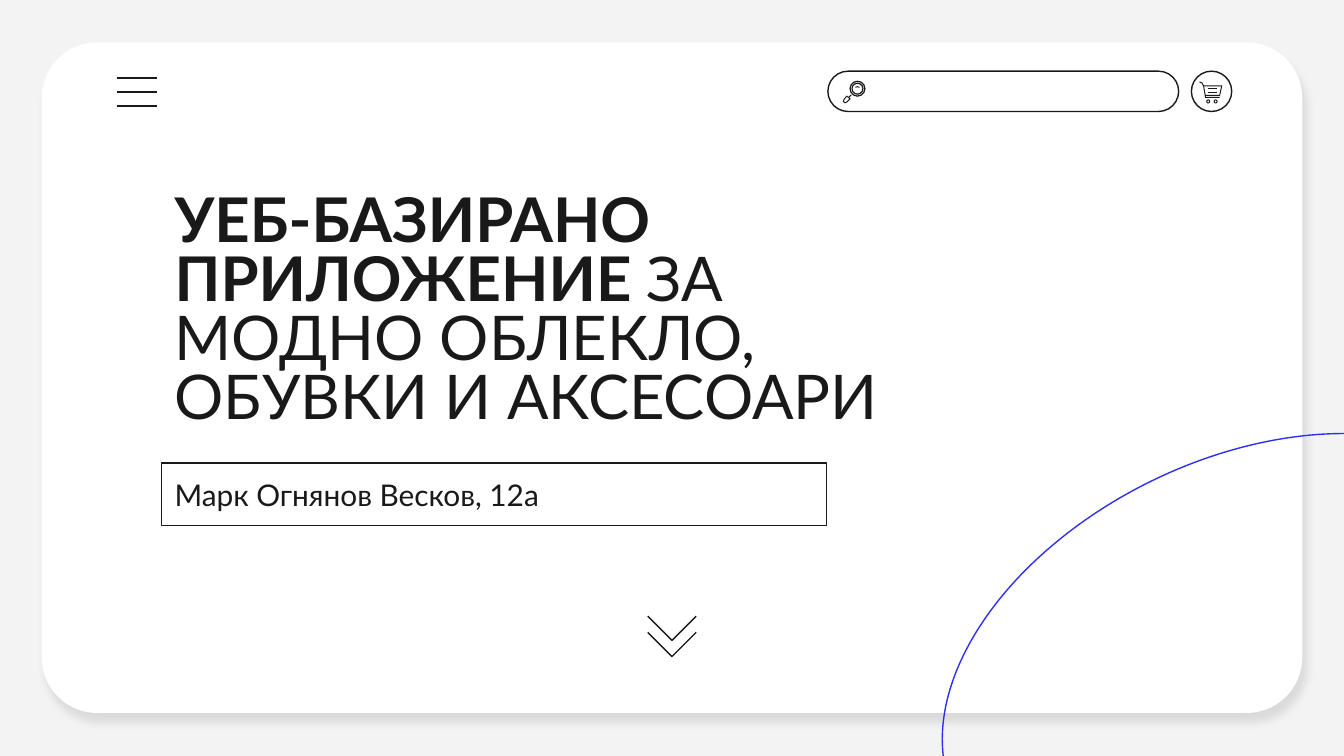
from lxml.etree import SubElement
from pptx import Presentation
from pptx.dml.color import RGBColor
from pptx.enum.shapes import MSO_CONNECTOR, MSO_SHAPE
from pptx.enum.text import MSO_ANCHOR, MSO_AUTO_SIZE, PP_ALIGN
from pptx.oxml.ns import qn
from pptx.util import Pt

PX = 4572
INK = RGBColor(0x19, 0x19, 0x19)
PAPER = RGBColor(0xFF, 0xFF, 0xFF)
BACKDROP = RGBColor(0xF3, 0xF3, 0xF3)
BLUE = RGBColor(0x2F, 0x2F, 0xF4)
FRAME_FORMAT = {
    "word_wrap": True, "auto_size": MSO_AUTO_SIZE.NONE,
    "margin_left": 20 * PX, "margin_right": 20 * PX,
    "margin_top": 20 * PX, "margin_bottom": 20 * PX,
}
PARA_FORMAT = {"alignment": PP_ALIGN.LEFT, "space_before": Pt(0)}


def set_values(target, values):
    """Set every attribute named in a dict of format values."""
    for name, value in values.items():
        setattr(target, name, value)


def paint(shape, fill=None, line=None, weight=0.75):
    """Give a shape its fill and outline and remove its shadow."""
    shape.shadow.inherit = False
    for part, color in ((shape.fill, fill), (shape.line.fill, line)):
        if color is None:
            part.background()
        else:
            part.solid()
            part.fore_color.rgb = color
    if line is not None:
        shape.line.width = Pt(weight)
    return shape


def add_preset(page, kind, box, adjustment=None, **colors):
    """Add a painted preset shape in a px box."""
    shape = page.shapes.add_shape(kind, *(value * PX for value in box))
    if adjustment is not None:
        shape.adjustments[0] = adjustment
    return paint(shape, **colors)


def add_line(page, start, end, weight=0.75):
    """Add a straight ink line between two px points."""
    line = page.shapes.add_connector(
        MSO_CONNECTOR.STRAIGHT, *(value * PX for value in (*start, *end)))
    line.line.color.rgb = INK
    line.line.width = Pt(weight)
    SubElement(line.element.spPr, qn("a:effectLst"))
    return line


def add_outline(page, origin, points, close=False, weight=0.75):
    """Add an ink outline through points measured from a px origin."""
    left, top = origin
    placed = [(left + x, top + y) for x, y in points]
    builder = page.shapes.build_freeform(*placed[0], scale=PX)
    builder.add_line_segments(placed[1:], close=close)
    return paint(builder.convert_to_shape(), line=INK, weight=weight)


def add_card(page, box):
    """Place the rounded white card with its soft shadow."""
    card = add_preset(page, MSO_SHAPE.ROUNDED_RECTANGLE, box, 0.083, fill=PAPER)
    effects = card.element.spPr.find(qn("a:effectLst"))
    shadow = SubElement(effects, qn("a:outerShdw"), blurRad=str(Pt(4.5)),
                        dist=str(Pt(6)), dir=str(68 * 60000), algn="bl",
                        rotWithShape="0")
    color = SubElement(shadow, qn("a:srgbClr"), val="000000")
    SubElement(color, qn("a:alpha"), val="10000")


def add_menu(page, box):
    """Place three evenly spaced menu bars."""
    left, top, width, height = box
    levels = [top + step * height // 2 for step in range(3)]
    page.shapes.add_group_shape(
        [add_line(page, (left, y), (left + width, y)) for y in levels])


def add_search(page, box):
    """Place the search bar and its magnifier."""
    left, top = box[:2]
    handle = [(28, 37), (33, 41), (28, 46), (25, 47), (23, 45), (24, 42)]
    glint = [(41, 24), (44, 23), (47, 24)]
    page.shapes.add_group_shape([
        add_preset(page, MSO_SHAPE.ROUNDED_RECTANGLE, box, 0.5, line=INK),
        add_preset(page, MSO_SHAPE.DONUT, (left + 32, top + 14, 24, 24), 0.08, fill=INK),
        add_preset(page, MSO_SHAPE.DONUT, (left + 35, top + 17, 18, 18), 0.1, fill=INK),
        add_outline(page, (left, top), handle, close=True, weight=0.5),
        add_outline(page, (left, top), glint, weight=0.5),
        add_line(page, (left + 31, top + 39), (left + 35, top + 35), 0.5),
    ])


def add_cart(page, box):
    """Place the round cart button."""
    left, top = box[:2]
    basket = [(12, 16), (16, 18), (18, 22), (45, 22), (42, 36), (20, 36)]
    frame = [(18, 22), (21, 39), (42, 39)]
    parts = [add_preset(page, MSO_SHAPE.OVAL, box, line=INK)]
    parts += [add_outline(page, (left, top), points, weight=0.5)
              for points in (basket, frame)]
    parts += [add_line(page, (left + 24, top + y), (left + 38, top + y), 0.5)
              for y in (26, 31)]
    parts += [add_preset(page, MSO_SHAPE.DONUT, (left + x, top + 42, 6, 6), 0.25, fill=INK)
              for x in (22, 33)]
    page.shapes.add_group_shape(parts)


def fill_placeholder(holder, box, runs, size, anchor, spacing):
    """Move a placeholder to a px box, in front, and write its runs."""
    for name, value in zip(("left", "top", "width", "height"), box):
        setattr(holder, name, value * PX)
    holder.element.getparent().append(holder.element)
    set_values(holder.text_frame, FRAME_FORMAT | {"vertical_anchor": anchor})
    para = holder.text_frame.paragraphs[0]
    set_values(para, PARA_FORMAT | {"line_spacing": spacing})
    for text, bold in runs:
        span = para.add_run()
        span.text = text
        set_values(span.font, {"name": "Lato", "size": Pt(size), "bold": bold})
        span.font.color.rgb = INK


def add_chevrons(page, box):
    """Place two stacked chevrons that point down."""
    left, top, width, height = box
    depth = width // 2
    points = [(0, 0), (depth, depth), (width, 0)]
    page.shapes.add_group_shape(
        [add_outline(page, (left, y), points) for y in (top + height - depth, top)])


def build_cover(page):
    """Lay out the cover slide."""
    page.background.fill.solid()
    page.background.fill.fore_color.rgb = BACKDROP
    add_card(page, (62, 63, 1876, 998))
    add_menu(page, (174, 116, 60, 42))
    add_search(page, (1232, 106, 522, 60))
    add_cart(page, (1773, 106, 60, 60))
    title, author = page.placeholders
    fill_placeholder(title, (240, 358, 1148, 304),
                     [("УЕБ-БАЗИРАНО ПРИЛОЖЕНИЕ ", True),
                      ("ЗА МОДНО ОБЛЕКЛО, ОБУВКИ И АКСЕСОАРИ", False)],
                     33, MSO_ANCHOR.BOTTOM, 0.8)
    fill_placeholder(author, (240, 689, 990, 93),
                     [("Марк Огнянов Весков, 12а", False)], 16, MSO_ANCHOR.TOP, 1.0)
    author.line.color.rgb = INK
    author.line.width = Pt(0.75)
    ellipse = add_preset(page, MSO_SHAPE.OVAL, (1374, 686, 938, 590), line=BLUE)
    ellipse.rotation = 333.9
    add_chevrons(page, (964, 917, 72, 60))


def main():
    """Build and save the deck."""
    deck = Presentation()
    deck.slide_width, deck.slide_height = 2000 * PX, 1125 * PX
    build_cover(deck.slides.add_slide(deck.slide_layouts[0]))
    deck.save("out.pptx")


if __name__ == "__main__":
    main()
